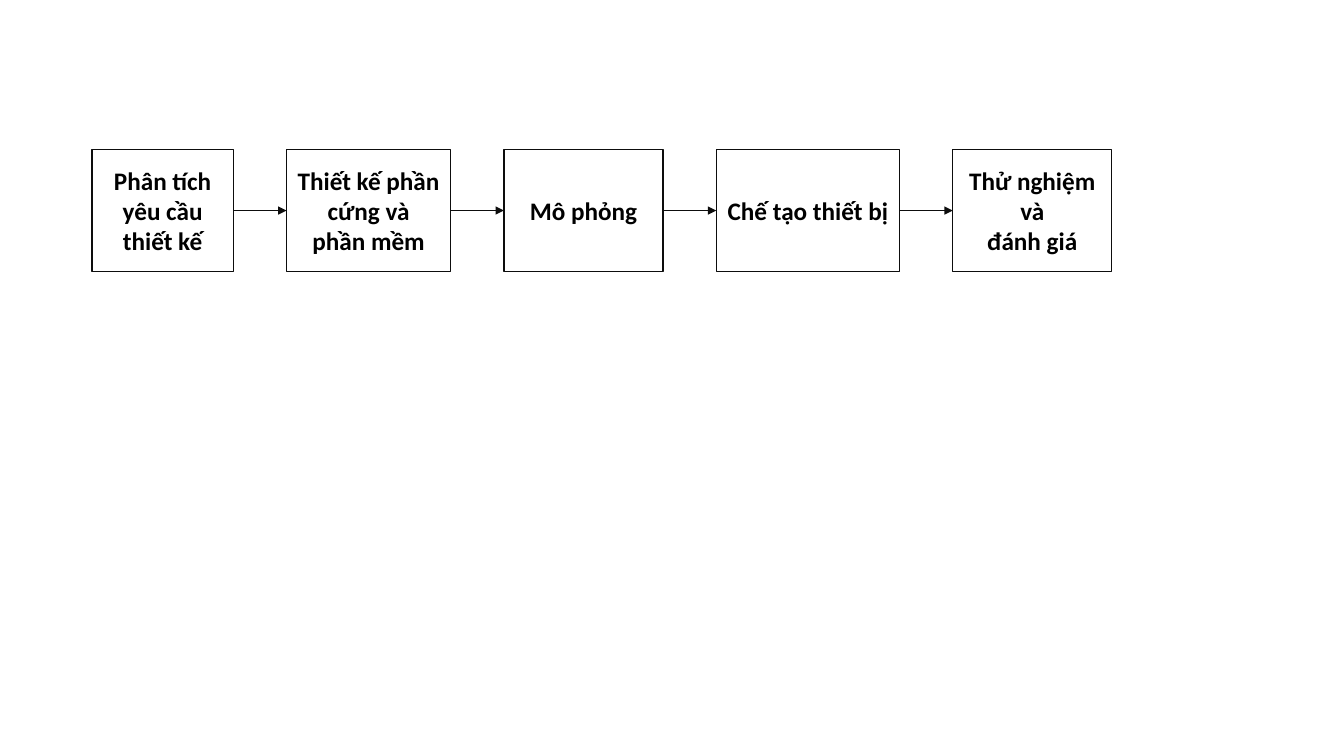
from pptx import Presentation
from pptx.dml.color import RGBColor
from pptx.enum.shapes import MSO_CONNECTOR, MSO_SHAPE
from pptx.enum.text import MSO_ANCHOR, PP_ALIGN
from pptx.oxml.ns import qn
from pptx.util import Cm, Pt
from lxml.etree import SubElement

WHITE = RGBColor(0xFF, 0xFF, 0xFF)
BLACK = RGBColor(0, 0, 0)
INK = RGBColor(0x0D, 0x0D, 0x0D)

FONT = {"name": "Calibri", "size": Pt(18), "bold": True}
RIGHT, LEFT = 3, 1
GAP = 1.34

# Paragraphs and box width in cm
STEPS = [
    (["Phân tích yêu cầu thiết kế"], 3.56),
    (["Thiết kế phần cứng và", "phần mềm"], 4.14),
    (["Mô phỏng"], 4.01),
    (["Chế tạo thiết bị"], 4.62),
    (["Thử nghiệm và", "đánh giá"], 4.01),
]


def style_line(line):
    line.color.rgb = INK
    line.width = Pt(1)


def add_step(slide, paragraphs, left, top, width, height):
    s = slide.shapes.add_shape(
        MSO_SHAPE.RECTANGLE, Cm(left), Cm(top), Cm(width), Cm(height))
    s.shadow.inherit = False
    s.fill.solid()
    s.fill.fore_color.rgb = WHITE
    style_line(s.line)
    tf = s.text_frame
    tf.word_wrap = True
    tf.vertical_anchor = MSO_ANCHOR.MIDDLE
    for i, text in enumerate(paragraphs):
        p = tf.add_paragraph() if i else tf.paragraphs[0]
        p.alignment = PP_ALIGN.CENTER
        r = p.add_run()
        r.text = text
        for name, value in FONT.items():
            setattr(r.font, name, value)
        r.font.color.rgb = BLACK
    return s


def add_arrow(slide, source, target):
    c = slide.shapes.add_connector(MSO_CONNECTOR.ELBOW, 0, 0, 0, 0)
    c.begin_connect(source, RIGHT)
    c.end_connect(target, LEFT)
    style_line(c.line)
    SubElement(c.line._get_or_add_ln(), qn("a:tailEnd"), type="triangle")
    SubElement(c._element.spPr, qn("a:effectLst"))


def add_process(slide, left, top, height):
    """Place the steps in a row with equal gaps and join them with arrows."""
    boxes = []
    for paragraphs, width in STEPS:
        boxes.append(add_step(slide, paragraphs, left, top, width, height))
        left += width + GAP
    for source, target in zip(boxes, boxes[1:]):
        add_arrow(slide, source, target)


def main():
    prs = Presentation()
    prs.slide_width, prs.slide_height = Cm(33.87), Cm(19.05)
    slide = prs.slides.add_slide(prs.slide_layouts[6])
    add_process(slide, left=2.32, top=3.77, height=3.07)
    prs.save("out.pptx")


if __name__ == "__main__":
    main()
